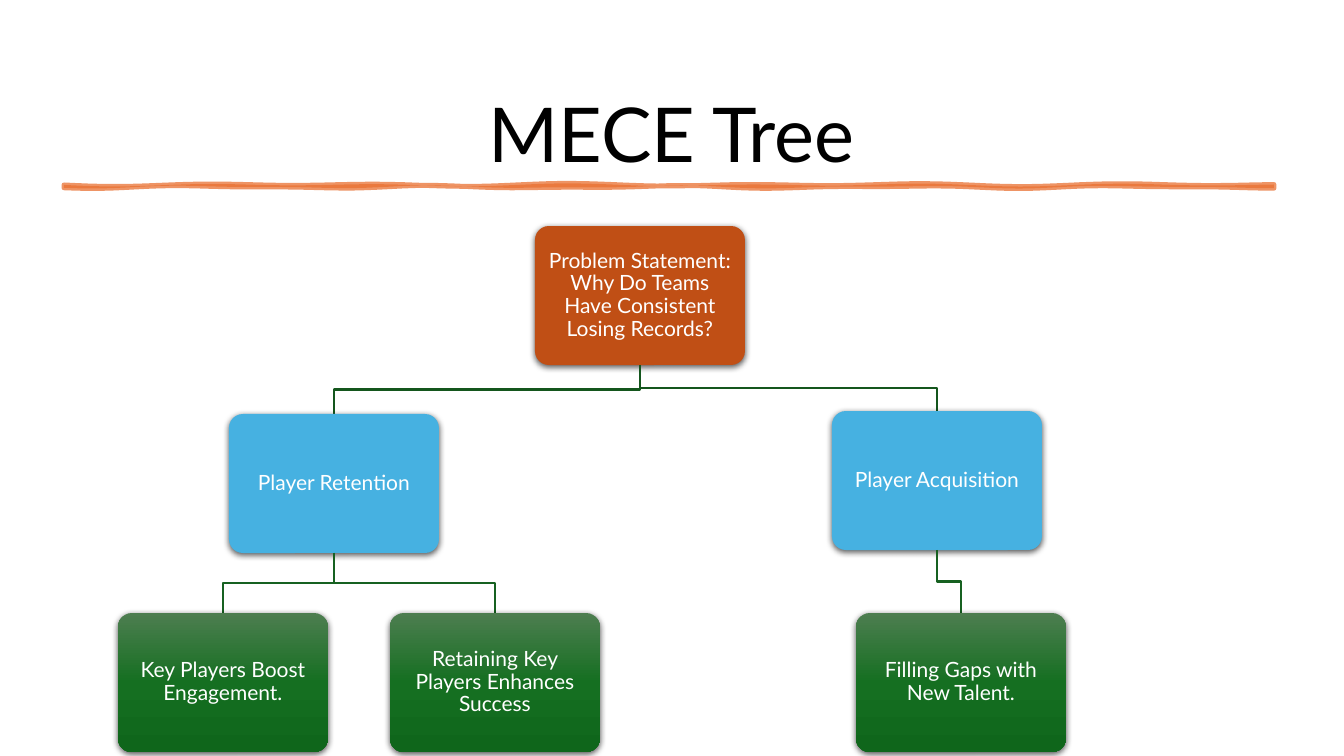
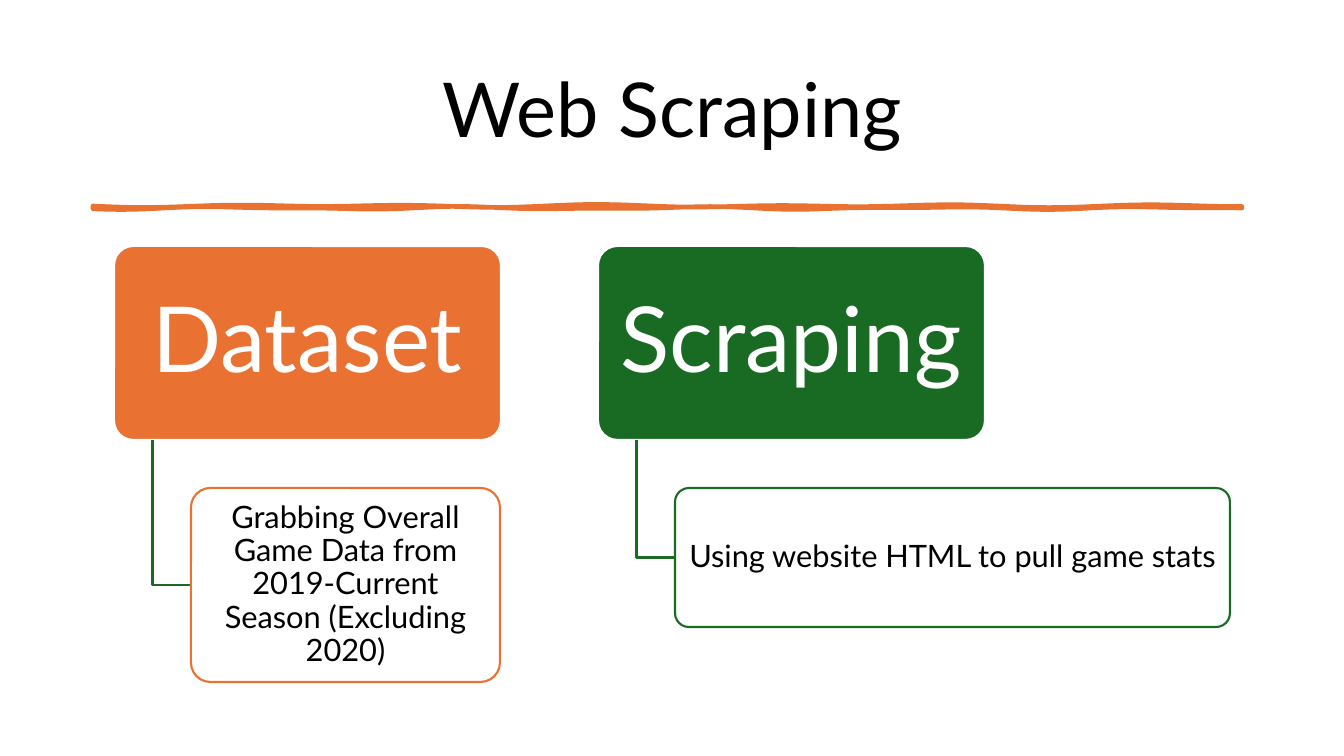
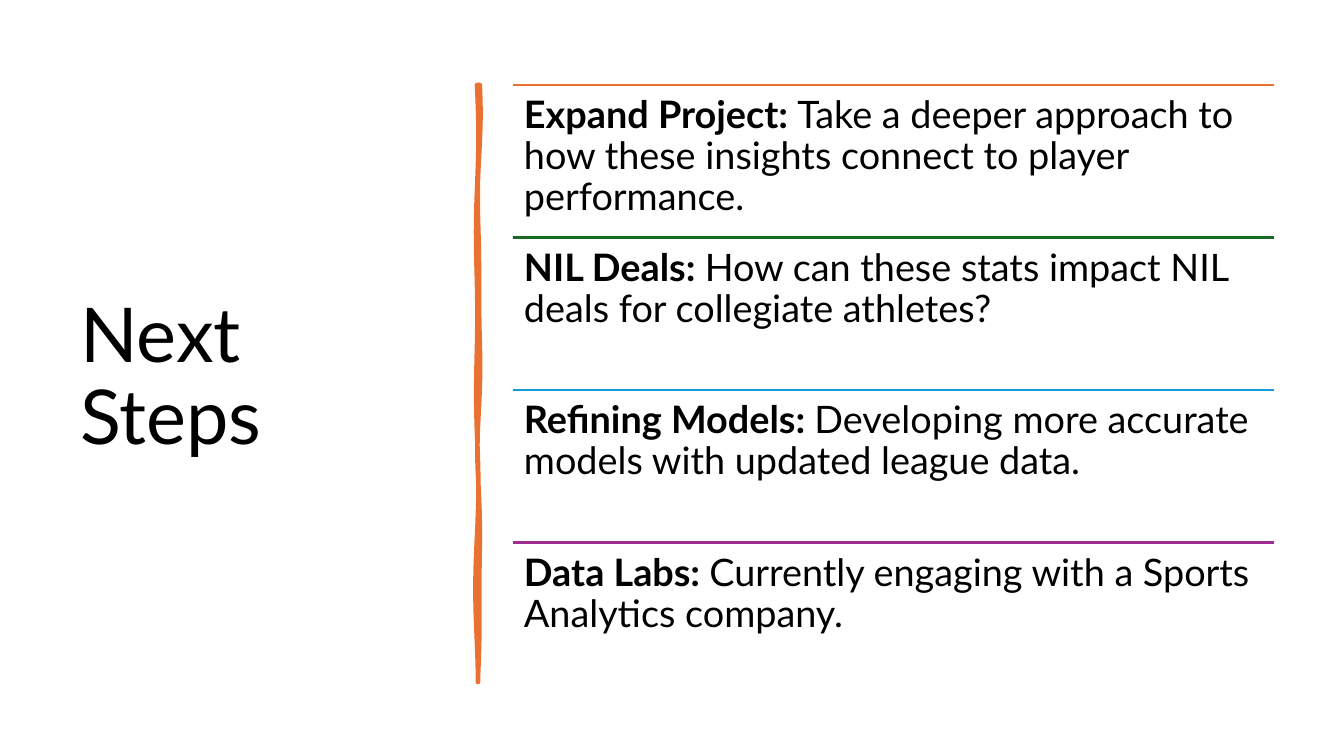
from math import sin
from pptx import Presentation
from pptx.dml.color import RGBColor
from pptx.enum.shapes import MSO_CONNECTOR as Conn, MSO_SHAPE as Shape
from pptx.enum.text import MSO_ANCHOR as Anchor, MSO_AUTO_SIZE as Fit, PP_ALIGN as Align
from pptx.oxml import parse_xml
from pptx.oxml.ns import nsdecls, qn
from pptx.util import Emu, Pt

# Shared style
SCALE = 914400 / 100.8
FONT = "Lato"
HEX = {
    "black": "000000", "white": "FFFFFF", "orange": "E97132", "rust": "C04F15",
    "sky": "46B1E1", "green": "196B24", "blue": "0F9ED5", "plum": "A02B93",
    "stem": "14561D", "twig": "176121",
}
LEAF = [(0, "4D7E50"), (50, "156F21"), (100, "0F661B")]

# Slide 1: name -> (parent, left, top, fill, text)
CARD = (210, 139)
TREE = {
    "root": (None, 535, 226, "rust",
             "Problem Statement: Why Do Teams Have Consistent Losing Records?"),
    "keep": ("root", 229, 414, "sky", "Player Retention"),
    "boost": ("keep", 118, 613, "leaf", "Key Players Boost Engagement."),
    "win": ("keep", 390, 613, "leaf", "Retaining Key Players Enhances Success"),
    "gain": ("root", 832, 411, "sky", "Player Acquisition"),
    "fill": ("gain", 856, 613, "leaf", "Filling Gaps with New Talent."),
}

# Slide 2: left, colour, head, detail, detail size
HEAD = (387, 194)
HEAD_TOP, NOTE_TOP, INDENT = 246, 488, 77
TOPICS = [
    (114, "orange", "Dataset",
     "Grabbing Overall Game Data from 2019-Current Season (Excluding 2020)", (309, 194)),
    (598, "green", "Scraping", "Using website HTML to pull game stats", (555, 139)),
]

# Slide 3: colour, lead, text
LIST = (513, 85, 761, 610)
STEPS = [
    ("orange", "Expand Project: ",
     "Take a deeper approach to how these insights connect to player performance."),
    ("green", "NIL Deals: ", "How can these stats impact NIL deals for collegiate athletes?"),
    ("blue", "Refining Models: ", "Developing more accurate models with updated league data."),
    ("plum", "Data Labs: ", "Currently engaging with a Sports Analytics company."),
]


def px(n):
    return Emu(round(n * SCALE))


def rgb(name):
    return RGBColor.from_string(HEX[name])


def style(para, size, color, align=Align.LEFT):
    para.alignment, para.line_spacing = align, 0.9
    for run in para.runs:
        run.font.name, run.font.size = FONT, Pt(size)
        run.font.color.rgb = rgb(color)


def inset(frame, wide, high):
    frame.margin_left = frame.margin_right = px(wide)
    frame.margin_top = frame.margin_bottom = px(high)


def ink(shape, color, width):
    shape.line.color.rgb, shape.line.width = rgb(color), Pt(width)


def fade(fill, percent):
    """Make every plain colour below an element see-through."""
    for color in fill.iter(qn("a:srgbClr")):
        color.append(parse_xml(f'<a:alpha {nsdecls("a")} val="{percent * 1000}"/>'))


def start(deck, text, box, anchor, align=Align.CENTER):
    slide = deck.slides.add_slide(deck.slide_layouts[5])
    title = slide.shapes.title
    title.left, title.top, title.width, title.height = map(px, box)
    frame = title.text_frame
    frame.text = text
    frame.word_wrap, frame.auto_size = True, Fit.NONE
    frame.vertical_anchor = anchor
    style(frame.paragraphs[0], 54, "black", align)
    return slide


def trace(slide, spots, close=False):
    spots = [(px(x), px(y)) for x, y in spots]
    pen = slide.shapes.build_freeform(*spots[0], scale=1.0)
    pen.add_line_segments(spots[1:], close=close)
    shape = pen.convert_to_shape()
    shape.shadow.inherit = False
    return shape


def brush(slide, left, top, length, upright=False, width=3.25, solid=100):
    """Draw a hand-drawn rule with two gently uneven edges."""
    count = length // 12
    along = [length * i / count for i in range(count + 1)]
    upper = [(a, -1 + sin(a / 29) + 0.6 * sin(a / 47)) for a in along]
    lower = [(a, 1 + sin(a / 37 + 1) + 0.6 * sin(a / 21)) for a in along]
    spots = upper + lower[::-1]
    if upright:
        spots = [(b, a) for a, b in spots]
    shape = trace(slide, [(left + x, top + y) for x, y in spots], True)
    shape.fill.solid()
    shape.fill.fore_color.rgb = rgb("orange")
    ink(shape, "orange", width)
    shape.element.spPr.find(qn("a:ln")).append(parse_xml(f'<a:round {nsdecls("a")}/>'))
    if solid < 100:
        fade(shape.element.spPr, solid)


def bend(slide, spots, color):
    shape = trace(slide, spots)
    shape.fill.background()
    ink(shape, color, 1.5)


def card(slide, box, fill, text, size, color="white", pad=(6, 6)):
    shape = slide.shapes.add_shape(Shape.ROUNDED_RECTANGLE, *map(px, box))
    shape.adjustments[0] = 0.1
    shape.shadow.inherit = False
    if fill == "leaf":
        shape.fill.gradient()
        shape.fill.gradient_angle = 270
        stops = shape.element.spPr.find(".//" + qn("a:gsLst"))
        stops.clear()
        for pos, tint in LEAF:
            stops.append(parse_xml(f'<a:gs {nsdecls("a")} pos="{pos * 1000}">'
                                   f'<a:srgbClr val="{tint}"/></a:gs>'))
    else:
        shape.fill.solid()
        shape.fill.fore_color.rgb = rgb(fill)
    shape.line.fill.background()
    frame = shape.text_frame
    frame.text = text
    frame.word_wrap, frame.vertical_anchor = True, Anchor.MIDDLE
    inset(frame, *pad)
    style(frame.paragraphs[0], size, color, Align.CENTER)
    return shape


def shade(shape):
    shape.element.spPr.find(qn("a:effectLst")).append(parse_xml(
        f'<a:outerShdw {nsdecls("a")} blurRad="{Pt(4.5)}" dist="{Pt(1.5)}" dir="5400000" '
        'rotWithShape="0"><a:srgbClr val="000000"><a:alpha val="63000"/></a:srgbClr>'
        '</a:outerShdw>'))


def draw_tree(deck):
    slide = start(deck, "MECE Tree", (64, 26, 1215, 158), Anchor.BOTTOM)
    brush(slide, 64, 186, 1210, width=3.5, solid=75)
    wide, high = CARD
    for parent, left, top, fill, text in TREE.values():
        if parent:
            _, up_left, up_top, *_ = TREE[parent]
            x1, y1 = up_left + wide / 2, up_top + high
            x2, mid = left + wide / 2, (y1 + top) / 2
            bend(slide, [(x1, y1), (x1, mid), (x2, mid), (x2, top)],
                 "stem" if parent == "root" else "twig")
        shade(card(slide, (left, top, wide, high), fill, text, 15))


def draw_topics(deck):
    slide = start(deck, "Web Scraping", (93, 40, 1159, 146), Anchor.MIDDLE)
    brush(slide, 93, 207, 1149)
    for left, color, head, note, (wide, high) in TOPICS:
        top = card(slide, (left, HEAD_TOP, *HEAD), color, head, 65, pad=(14, 9))
        ink(top, "white", 1.5)
        stem, mid = left + INDENT / 2, NOTE_TOP + high / 2
        bend(slide, [(stem, HEAD_TOP + HEAD[1]), (stem, mid), (left + INDENT, mid)], "green")
        box = card(slide, (left + INDENT, NOTE_TOP, wide, high), "white", note, 22,
                   "black", (5, 3))
        fade(box.element.spPr.find(qn("a:solidFill")), 90)
        ink(box, color, 1.5)


def draw_steps(deck):
    slide = start(deck, "Next Steps", (70, 71, 376, 616), Anchor.MIDDLE, Align.LEFT)
    brush(slide, 478, 85, 597, upright=True)
    left, top, wide, high = LIST
    row = high / len(STEPS)
    for i, (color, lead, text) in enumerate(STEPS):
        y = top + i * row
        rule = slide.shapes.add_connector(Conn.STRAIGHT, px(left), px(y), px(left + wide), px(y))
        ink(rule, color, 1.5)
        rule.element.spPr.append(parse_xml(f'<a:effectLst {nsdecls("a")}/>'))
        frame = slide.shapes.add_textbox(px(left), px(y), px(wide), px(row)).text_frame
        frame.word_wrap = True
        inset(frame, 11, 11)
        para = frame.paragraphs[0]
        for part, bold in ((lead, True), (text, False)):
            run = para.add_run()
            run.text, run.font.bold = part, bold
        style(para, 27, "black")


def main():
    deck = Presentation()
    deck.slide_width, deck.slide_height = px(1344), px(756)
    draw_tree(deck)
    draw_topics(deck)
    draw_steps(deck)
    deck.save("out.pptx")


if __name__ == "__main__":
    main()
